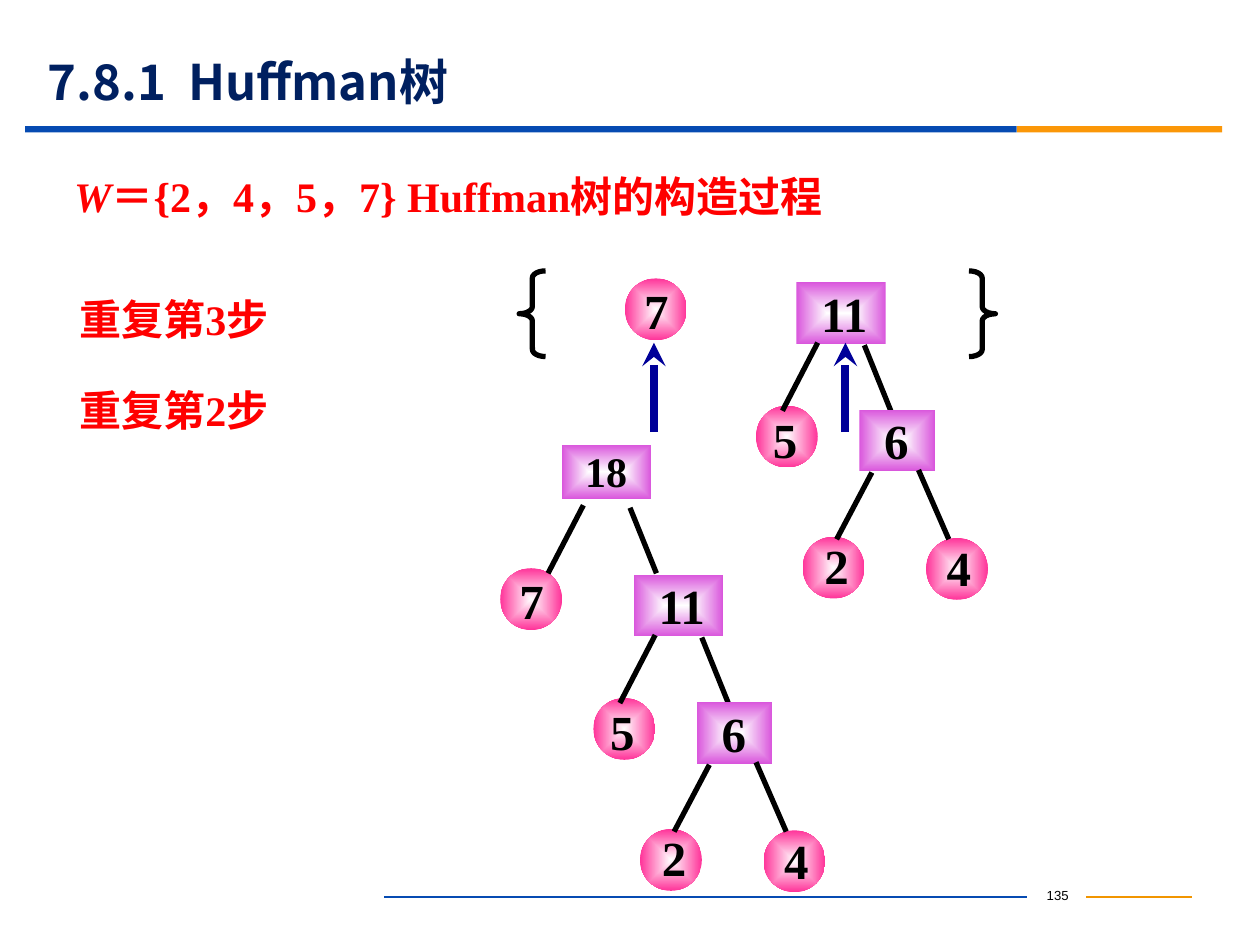
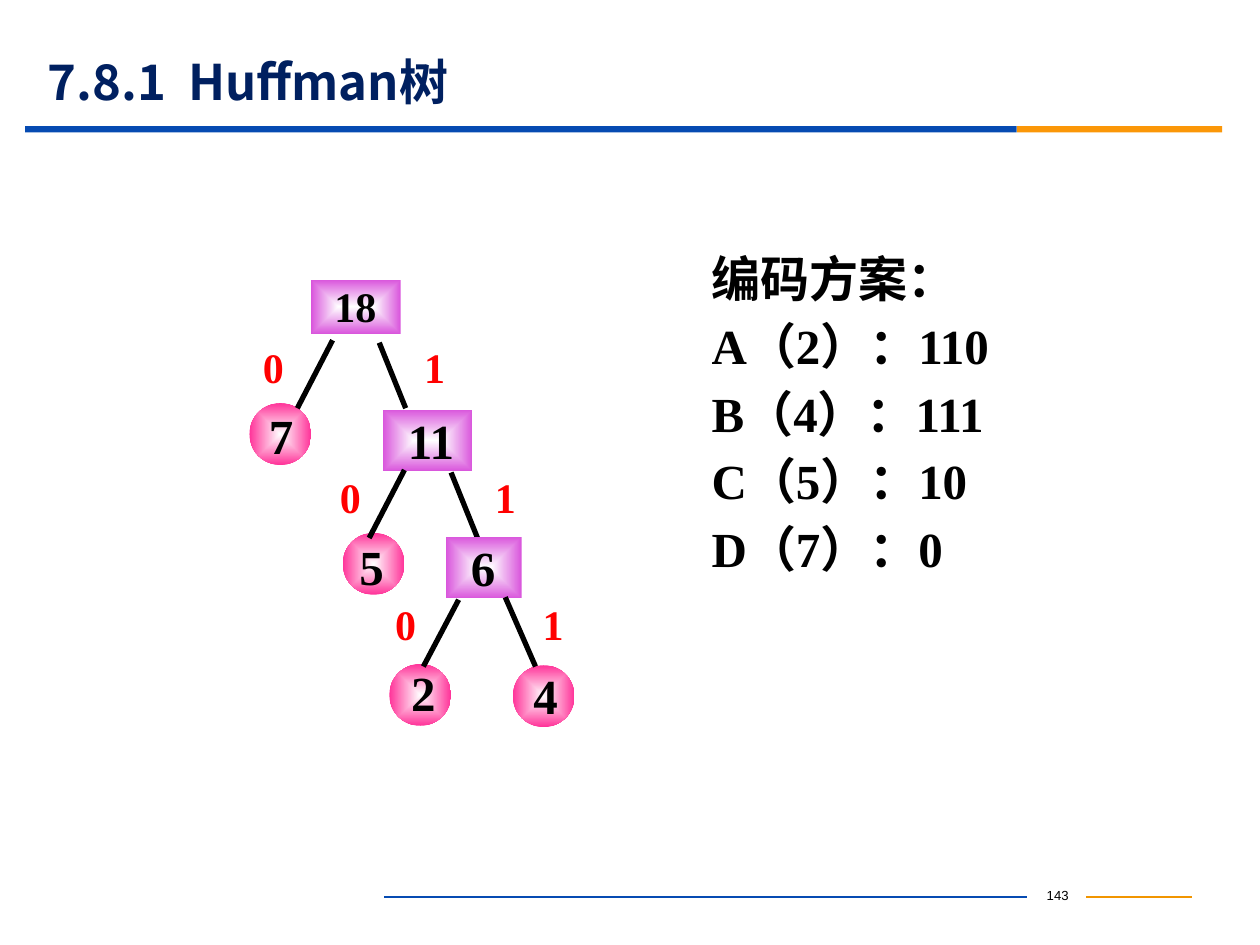
"""Build two slides on constructing a Huffman tree and reading its codes."""
from dataclasses import dataclass
from typing import Optional

from lxml.etree import SubElement
from pptx import Presentation
from pptx.dml.color import RGBColor
from pptx.enum.shapes import MSO_CONNECTOR as Connector, MSO_SHAPE as Shape
from pptx.enum.text import MSO_ANCHOR as Anchor, PP_ALIGN as Align
from pptx.oxml.ns import qn
from pptx.util import Inches, Pt

BLUE = RGBColor(0x06, 0x4B, 0xB2)
ORANGE = RGBColor(0xFB, 0x97, 0x08)
AMBER = RGBColor(0xF1, 0x95, 0x00)
TITLE_NAVY = RGBColor(0x00, 0x20, 0x60)
ARROW_BLUE = RGBColor(0x00, 0x00, 0x99)
RED = RGBColor(0xFF, 0x00, 0x00)
BLACK = RGBColor(0x00, 0x00, 0x00)
WHITE = RGBColor(0xFF, 0xFF, 0xFF)
PINK = RGBColor(0xFF, 0x33, 0x99)
VIOLET = RGBColor(0xD9, 0x55, 0xDC)

SANS = "Noto Sans CJK SC"
SERIF = "Times New Roman"
NODE_SIZE = 0.49
LABEL_WIDTH, LABEL_HEIGHT = 0.42, 0.57
BIT_SIZE = 0.58


@dataclass(frozen=True)
class TextStyle:
    """Look of a paragraph."""
    size: float
    color: RGBColor = BLACK
    font: str = SERIF
    bold: bool = True
    align: Align = Align.LEFT


TITLE = TextStyle(28, TITLE_NAVY, SANS)
HEADING = TextStyle(24, RED)
STEP = TextStyle(24, RED, align=Align.JUSTIFY)
LEAF_LABEL = TextStyle(28, align=Align.CENTER)
BIT = TextStyle(24, RED, align=Align.CENTER)
CODE = TextStyle(28, align=Align.JUSTIFY)
PAGE_NUMBER = TextStyle(7.5, font="Arial", bold=False, align=Align.CENTER)


@dataclass(frozen=True)
class Edge:
    """Line with both ends measured from the parent's corner."""
    x1: float
    y1: float
    x2: float
    y2: float


@dataclass(frozen=True)
class Leaf:
    """Round node, placed from its parent, with its label's shift."""
    label: str
    dx: float = 0
    dy: float = 0
    label_dx: float = 0.04
    label_dy: float = 0.02


@dataclass(frozen=True)
class Branch:
    """Square node with two children and the x shifts of its 0 and 1."""
    label: str
    children: tuple
    edges: tuple[Edge, Edge]
    bits: tuple[float, float]
    dx: float = 0
    dy: float = 0
    width: float = 0.71
    height: float = NODE_SIZE
    size: float = 28


WIDE_EDGES = (Edge(0.17, 0.48, -0.11, 1.02), Edge(0.54, 0.5, 0.75, 1.02))
NARROW_EDGES = (Edge(0.1, 0.5, -0.18, 1.03), Edge(0.47, 0.48, 0.71, 1.03))
SIX = Branch("6", (Leaf("2", -0.45, 1.01, 0.06, -0.01), Leaf("4", 0.53, 1.02, 0.05, 0)),
             NARROW_EDGES, (-0.61, 0.56), 0.5, 1.01, width=0.6)
ELEVEN = Branch("11", (Leaf("5", -0.32, 0.98, 0.02, 0.03), SIX),
                WIDE_EDGES, (-0.55, 0.68), 0.57, 1.03)
EIGHTEEN = Branch("18", (Leaf("7", -0.49, 0.98), ELEVEN),
                  WIDE_EDGES, (-0.59, 0.69), height=0.43, size=24)


def style_paragraph(para, style: TextStyle) -> None:
    """Apply a style to a whole paragraph."""
    para.alignment = style.align
    font = para.font
    font.size, font.bold, font.name = Pt(style.size), style.bold, style.font
    font.color.rgb = style.color
    defaults = para._p.pPr.find(qn("a:defRPr"))
    SubElement(defaults, qn("a:ea")).set("typeface", SANS)


def set_insets(frame, left: float, top: float, right: float, bottom: float) -> None:
    """Set the inner margins of a text frame."""
    frame.margin_left, frame.margin_top = Inches(left), Inches(top)
    frame.margin_right, frame.margin_bottom = Inches(right), Inches(bottom)


def add_text(page, lines: list[str], left: float, top: float, width: float,
             height: float, style: TextStyle, inset: bool = True,
             anchor: Anchor = Anchor.TOP, gap: float = 0):
    """Add a text box with one paragraph per line."""
    box = page.shapes.add_textbox(Inches(left), Inches(top), Inches(width), Inches(height))
    frame = box.text_frame
    frame.word_wrap, frame.vertical_anchor = True, anchor
    if not inset:
        set_insets(frame, 0, 0, 0, 0)
    for index, line in enumerate(lines):
        para = frame.add_paragraph() if index else frame.paragraphs[0]
        para.text = line
        if index and gap:
            para.space_before = Pt(gap)
        style_paragraph(para, style)
    return box


def add_figure(page, kind: Shape, left: float, top: float, width: float,
               height: float, fill: Optional[RGBColor] = None):
    """Add a shape without shadow or outline."""
    shape = page.shapes.add_shape(kind, Inches(left), Inches(top), Inches(width), Inches(height))
    shape.shadow.inherit = False
    shape.line.fill.background()
    if fill is None:
        shape.fill.background()
    else:
        shape.fill.solid()
        shape.fill.fore_color.rgb = fill
    return shape


def glow(shape, color: RGBColor) -> None:
    """Fill a shape from a white centre to a coloured rim."""
    shape.fill.gradient()
    for stop, shade in zip(shape.fill.gradient_stops, (WHITE, color)):
        stop.color.rgb = shade
    gradient = shape._element.spPr.find(qn("a:gradFill"))
    gradient.remove(gradient.find(qn("a:lin")))
    rim = SubElement(gradient, qn("a:path"))
    rim.set("path", "shape")
    center = SubElement(rim, qn("a:fillToRect"))
    for side in "ltrb":
        center.set(side, "50000")


def add_line(page, x1: float, y1: float, x2: float, y2: float,
             color: RGBColor = BLACK, width: float = 3, arrow: bool = False) -> None:
    """Add a straight line, with an arrowhead at its end if asked."""
    line = page.shapes.add_connector(Connector.STRAIGHT, Inches(x1), Inches(y1),
                                     Inches(x2), Inches(y2))
    line.line.color.rgb, line.line.width = color, Pt(width)
    if arrow:
        SubElement(line.line._get_or_add_ln(), qn("a:tailEnd")).set("type", "stealth")
    SubElement(line._element.spPr, qn("a:effectLst"))


def add_leaf(page, leaf: Leaf, left: float, top: float) -> None:
    """Draw a round node and its label."""
    glow(add_figure(page, Shape.OVAL, left, top, NODE_SIZE, NODE_SIZE), PINK)
    add_text(page, [leaf.label], left + leaf.label_dx, top + leaf.label_dy,
             LABEL_WIDTH, LABEL_HEIGHT, LEAF_LABEL, inset=False)


def add_tree(page, root: Branch, left: float, top: float, coded: bool = False) -> None:
    """Draw a branch and all below it, with code bits if coded."""
    for child in root.children:
        if isinstance(child, Leaf):
            add_leaf(page, child, left + child.dx, top + child.dy)
    box = add_figure(page, Shape.RECTANGLE, left, top, root.width, root.height)
    glow(box, VIOLET)
    frame = box.text_frame
    frame.word_wrap, frame.vertical_anchor = False, Anchor.TOP
    set_insets(frame, 0.1 + root.size / 288, 0.01, 0.06, 0.01)
    frame.text = root.label
    style_paragraph(frame.paragraphs[0], TextStyle(root.size))
    for edge in root.edges:
        add_line(page, left + edge.x1, top + edge.y1, left + edge.x2, top + edge.y2)
    if coded:
        for bit, shift in zip("01", root.bits):
            add_text(page, [bit], left + shift, top + 0.4, BIT_SIZE, BIT_SIZE,
                     BIT, anchor=Anchor.MIDDLE)
    for child in root.children:
        if isinstance(child, Branch):
            add_tree(page, child, left + child.dx, top + child.dy, coded)


def add_page(deck, number: int):
    """Add a page with the shared title, band and footer."""
    page = deck.slides.add_slide(deck.slide_layouts[6])
    add_text(page, [str(number)], 8.16, 6.99, 0.47, 0.25, PAGE_NUMBER)
    add_line(page, 8.62, 7.12, 9.46, 7.12, AMBER, 0.75)
    add_line(page, 3.05, 7.12, 8.15, 7.12, BLUE, 0.75)
    add_figure(page, Shape.RECTANGLE, 0.2, 1, 7.87, 0.05, BLUE)
    add_figure(page, Shape.RECTANGLE, 8.07, 1, 1.63, 0.05, ORANGE)
    add_text(page, ["7.8.1  Huffman树"], 0.28, 0.43, 9, 0.43, TITLE, anchor=Anchor.MIDDLE)
    return page


def build_construction(deck) -> None:
    """Show the last merge of the forest into one tree."""
    page = add_page(deck, 135)
    heading = add_text(page, [""], 0.49, 1.3, 6.45, 0.51, HEADING)
    para = heading.text_frame.paragraphs[0]
    for words, italic in (("W", True), ("＝{2，4，5，7} Huffman树的构造过程", False)):
        span = para.add_run()
        span.text, span.font.italic = words, italic
    for step, top in (("重复第3步", 2.33), ("重复第2步", 3.05)):
        add_text(page, [step], 0.63, top, 1.85, 0.43, STEP, inset=False)
    for left, turn in ((4.12, 0), (7.69, 180)):
        brace = add_figure(page, Shape.LEFT_BRACE, left, 2.15, 0.21, 0.68)
        brace.adjustments[0] = 0.27
        brace.rotation = turn
        brace.line.color.rgb, brace.line.width = BLACK, Pt(3)
    add_leaf(page, Leaf("7"), 4.96, 2.21)
    add_tree(page, ELEVEN, 6.32, 2.24)
    add_tree(page, EIGHTEEN, 4.46, 3.53)
    for x in (5.19, 6.71):
        add_line(page, x, 3.43, x, 2.72, ARROW_BLUE, 4.5, arrow=True)


def build_codes(deck) -> None:
    """Show the finished tree beside the codes it gives."""
    page = add_page(deck, 143)
    add_tree(page, EIGHTEEN, 2.47, 2.22, coded=True)
    codes = ["编码方案：", "A（2）：110", "B（4）：111", "C（5）：10", "D（7）：0"]
    add_text(page, codes, 5.55, 1.92, 2.52, 2.83, CODE, gap=5)


def main() -> None:
    """Build and save the deck."""
    deck = Presentation()
    deck.slide_width, deck.slide_height = Inches(10), Inches(7.5)
    build_construction(deck)
    build_codes(deck)
    deck.save("out.pptx")


if __name__ == "__main__":
    main()
